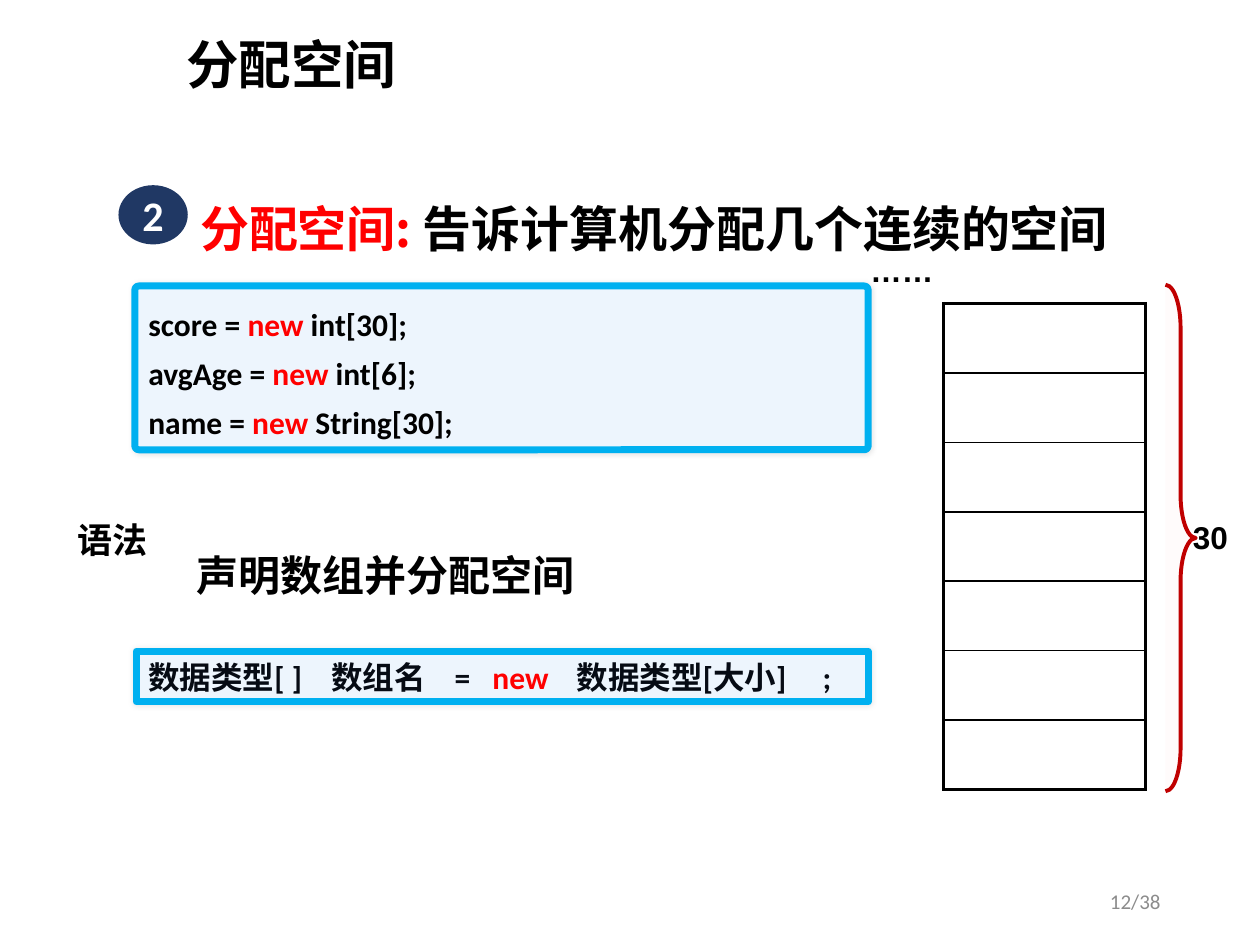
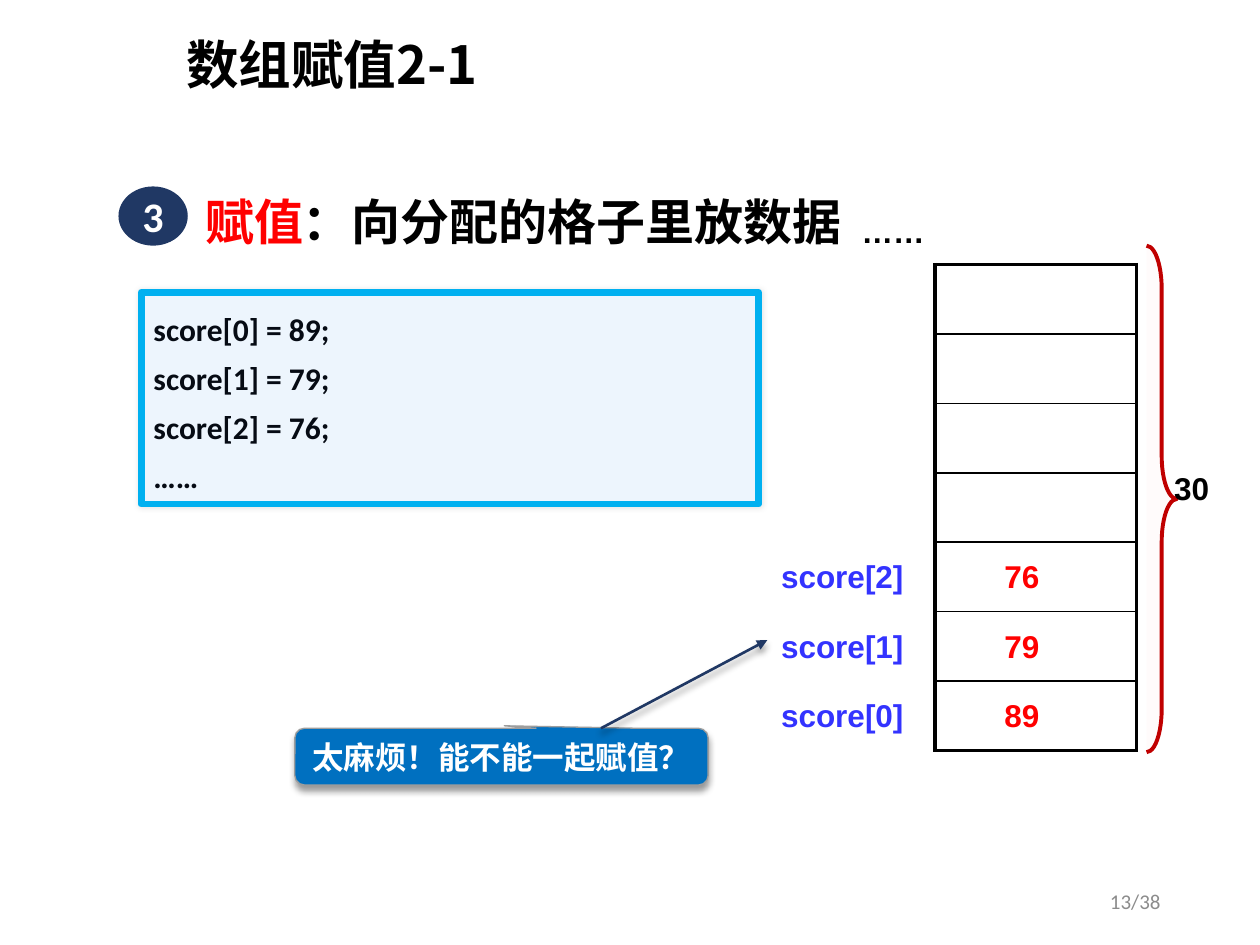
from lxml import etree
from pptx import Presentation
from pptx.dml.color import RGBColor
from pptx.enum.shapes import MSO_CONNECTOR, MSO_SHAPE as SHAPE
from pptx.enum.text import MSO_ANCHOR as ANCHOR, MSO_AUTO_SIZE, PP_ALIGN as ALIGN
from pptx.oxml.ns import qn
from pptx.util import Inches, Pt

# Shared look
BLACK, WHITE, RED, INK = "000000", "FFFFFF", "FF0000", "060B14"
NAVY, CYAN, PALE, BLUE = "203864", "00B0F0", "EDF5FD", "0070C0"
BRACE, BRACE_FILL, LABEL, GREY, EDGE = "C00000", "FFDDDD", "3333FF", "8C8C8C", "9D9D9D"
CJK = "Noto Sans CJK SC"
SOFT = (10, 3, 0, 0)    # shadow: opacity %, blur pt, distance pt, angle
DROP = (40, 4, 3, 90)
CELLS, CELL_W, CELL_H = 7, 1.6, 0.551

# Content: a paragraph is a list of (text, colour) runs
PAGES = 38
SLIDES = [
    dict(page=12, title="分配空间", step="2", badge_top=1.47,
         heading=[("分配空间: ", RED), ("告诉计算机分配几个连续的空间", BLACK)],
         heading_at=(1.49, 1.36, 7.81, 0.74), heading_font=CJK,
         code=[[(name + " = ", BLACK), ("new ", RED), (kind, BLACK)]
               for name, kind in [("score", "int[30];"), ("avgAge", "int[6];"),
                                  ("name", "String[30];")]],
         code_at=(1.07, 2.27, 5.82, 1.3), code_round=0.024,
         memory=dict(left=7.49, top=2.41, brace_left=9.25, count_top=4.06)),
    dict(page=13, title="数组赋值2-1", step="3", badge_top=1.48,
         heading=[("赋值", RED), ("：向分配的格子里放数据", BLACK)],
         heading_at=(1.53, 1.31, 7.56, 0.62), heading_font="Arial Narrow",
         code=[[(line, INK)] for line in
               ["score[0] = 89;", "score[1] = 79;", "score[2] = 76;", "……"]],
         code_at=(1.12, 2.32, 4.9, 1.68), code_round=0,
         memory=dict(left=7.42, top=2.1, brace_left=9.1, count_top=3.67)),
]
SYNTAX = [("数据类型[ ]\t数组名\t=\t", INK), ("new\t", RED), ("数据类型[大小]\t;", INK)]
SYNTAX_TABS = [1.45, 2.43, 2.73, 3.4, 5.35]
SCORES = [89, 79, 76]


def rgb(color):
    return RGBColor.from_string(color)


def sub(parent, tag, **attrs):
    return etree.SubElement(parent, qn(tag), {k: str(v) for k, v in attrs.items()})


def solid(parent, color, opacity=100):
    clr = sub(sub(parent, "a:solidFill"), "a:srgbClr", val=color)
    if opacity < 100:
        sub(clr, "a:alpha", val=opacity * 1000)


def add_shadow(props, shadow):
    opacity, blur, dist, angle = shadow
    effects = sub(props, "a:effectLst")
    outer = sub(effects, "a:outerShdw", blurRad=Pt(blur), dist=Pt(dist),
                dir=angle * 60000, algn="ctr", rotWithShape=0)
    sub(sub(outer, "a:srgbClr", val=BLACK), "a:alpha", val=opacity * 1000)
    return effects


def place(sp, at):
    sp.left, sp.top, sp.width, sp.height = map(Inches, at)


def write(sp, paragraphs, size, font="Arial", bold=True, align=ALIGN.LEFT,
          anchor=ANCHOR.TOP, wrap=True, spacing=None):
    tf = sp.text_frame
    tf.auto_size, tf.word_wrap, tf.vertical_anchor = MSO_AUTO_SIZE.NONE, wrap, anchor
    for i, runs in enumerate(paragraphs):
        p = tf.add_paragraph() if i else tf.paragraphs[0]
        p.alignment = align
        if spacing:
            p.line_spacing = spacing
        for text, color in runs:
            r = p.add_run()
            r.text = text
            r.font.size, r.font.bold, r.font.name = Pt(size), bold, font
            r.font.color.rgb = rgb(color)
            sub(r.font._element, "a:ea", typeface=CJK)
    return sp


def add_text(s, at, text, size, color=BLACK, **style):
    sp = s.shapes.add_textbox(*map(Inches, at))
    runs = [(text, color)] if isinstance(text, str) else text
    return write(sp, [runs], size, **style)


def add_shape(s, kind, at, fill, line=None, width=0, adjust=(), shadow=None):
    sp = s.shapes.add_shape(kind, *map(Inches, at))
    sp.shadow.inherit = False
    sp.fill.solid()
    sp.fill.fore_color.rgb = rgb(fill)
    if line:
        sp.line.color.rgb, sp.line.width = rgb(line), Pt(width)
    else:
        sp.line.fill.background()
    for i, value in enumerate(adjust):
        sp.adjustments[i] = value
    if shadow:
        props = sp._element.spPr
        props.remove(props.find(qn("a:effectLst")))
        add_shadow(props, shadow)
    return sp


def add_panel(s, at, paragraphs, rounding=0, spacing=None):
    sp = add_shape(s, SHAPE.ROUNDED_RECTANGLE, at, PALE, CYAN, 4, [rounding], SOFT)
    return write(sp, paragraphs, 18, "Calibri", spacing=spacing)


def add_memory(s, left, top, brace_left, count_top):
    # Column of memory cells with a heavy outer border
    table = s.shapes.add_table(CELLS, 1, *map(Inches, (left, top, CELL_W, CELLS * CELL_H))).table
    table.first_row = table.horz_banding = False
    for i in range(CELLS):
        table.rows[i].height = Inches(CELL_H)
        cell = table.cell(i, 0)
        props = cell._tc.get_or_add_tcPr()
        widths = dict(L=2.25, R=2.25, T=1 if i else 2.25, B=1 if i < CELLS - 1 else 2.25)
        for side, width in widths.items():
            solid(sub(props, "a:ln" + side, w=Pt(width)), BLACK)
        cell.fill.background()
    # Brace, its count and the dots above
    brace = add_shape(s, SHAPE.RIGHT_BRACE, (brace_left, top - 0.15, 0.24, 4.02),
                      BRACE_FILL, BRACE, 2.25, [1.417, 0.5])
    tint = brace._element.spPr.find(qn("a:solidFill")).find(qn("a:srgbClr"))
    sub(tint, "a:alpha", val=10000)
    add_text(s, (brace_left + 0.12, count_top, 0.83, 0.4), "30", 18)
    add_text(s, (left - 0.68, top - 0.47, 1.81, 0.4), "……", 18)


def add_base(prs, page, title, step, badge_top, heading, heading_at, heading_font,
             code, code_at, code_round, memory):
    s = prs.slides.add_slide(prs.slide_layouts[5])
    place(s.shapes.title, (1.38, 0.1, 8.62, 0.87))
    write(s.shapes.title, [[(title, BLACK)]], 30, CJK, anchor=ANCHOR.MIDDLE, spacing=0.9)
    add_panel(s, code_at, code, code_round, 1.3)
    add_memory(s, **memory)
    add_text(s, heading_at, heading, 28, font=heading_font, align=ALIGN.JUSTIFY, spacing=1.35)
    badge = add_shape(s, SHAPE.OVAL, (0.94, badge_top, 0.55, 0.47), NAVY)
    write(badge, [[(step, WHITE)]], 24, "Calibri", align=ALIGN.CENTER,
          anchor=ANCHOR.MIDDLE, wrap=False)
    add_text(s, (7.06, 6.95, 2.25, 0.4), f"{page}/{PAGES}", 12, GREY, font="Calibri",
             bold=False, align=ALIGN.RIGHT, anchor=ANCHOR.MIDDLE)
    return s


def add_syntax(s):
    add_text(s, (1.46, 4.31, 3.39, 0.5), "声明数组并分配空间", 24)
    panel = add_panel(s, (1.08, 5.17, 5.81, 0.4), [SYNTAX])
    tabs = sub(panel.text_frame.paragraphs[0]._p.get_or_add_pPr(), "a:tabLst")
    for stop in SYNTAX_TABS:
        sub(tabs, "a:tab", pos=Inches(stop), algn="l")
    mark = add_text(s, (0.52, 4.06, 0.77, 0.44), "语法", 20, font=CJK,
                    anchor=ANCHOR.MIDDLE, wrap=False)
    font = mark.text_frame.paragraphs[0].runs[0].font._element
    font.find(qn("a:latin")).addprevious(add_shadow(font, DROP))


def add_scores(s, top):
    # Index beside each cell and value inside it, from the bottom up
    for i, score in enumerate(SCORES):
        y = top + (CELLS - 1 - i) * CELL_H + 0.07
        add_text(s, (6.1, y, 1.18, 0.4), f"score[{i}]", 18, LABEL)
        add_text(s, (7.52, y, 1.18, 0.4), str(score), 18, RED, align=ALIGN.CENTER)
    # Question with an arrow to the indexes
    callout = add_shape(s, SHAPE.ROUNDED_RECTANGULAR_CALLOUT, (2.34, 5.78, 3.28, 0.45),
                        BLUE, EDGE, 0.75, [0.007, -0.544, 0.167], DROP)
    write(callout, [[("太麻烦！能不能一起赋值？", WHITE)]], 18, align=ALIGN.CENTER,
          anchor=ANCHOR.MIDDLE, wrap=False)
    arrow = s.shapes.add_connector(MSO_CONNECTOR.STRAIGHT,
                                   *map(Inches, (4.77, 5.78, 6.09, 5.08)))
    arrow.line.color.rgb, arrow.line.width = rgb(NAVY), Pt(1.5)
    sub(arrow.line._get_or_add_ln(), "a:tailEnd", type="triangle")
    add_shadow(arrow._element.spPr, DROP)


def main():
    prs = Presentation()
    prs.slide_width, prs.slide_height = Inches(10), Inches(7.5)
    allocate, assign = [add_base(prs, **content) for content in SLIDES]
    add_syntax(allocate)
    add_scores(assign, SLIDES[1]["memory"]["top"])
    prs.save("out.pptx")


if __name__ == "__main__":
    main()
